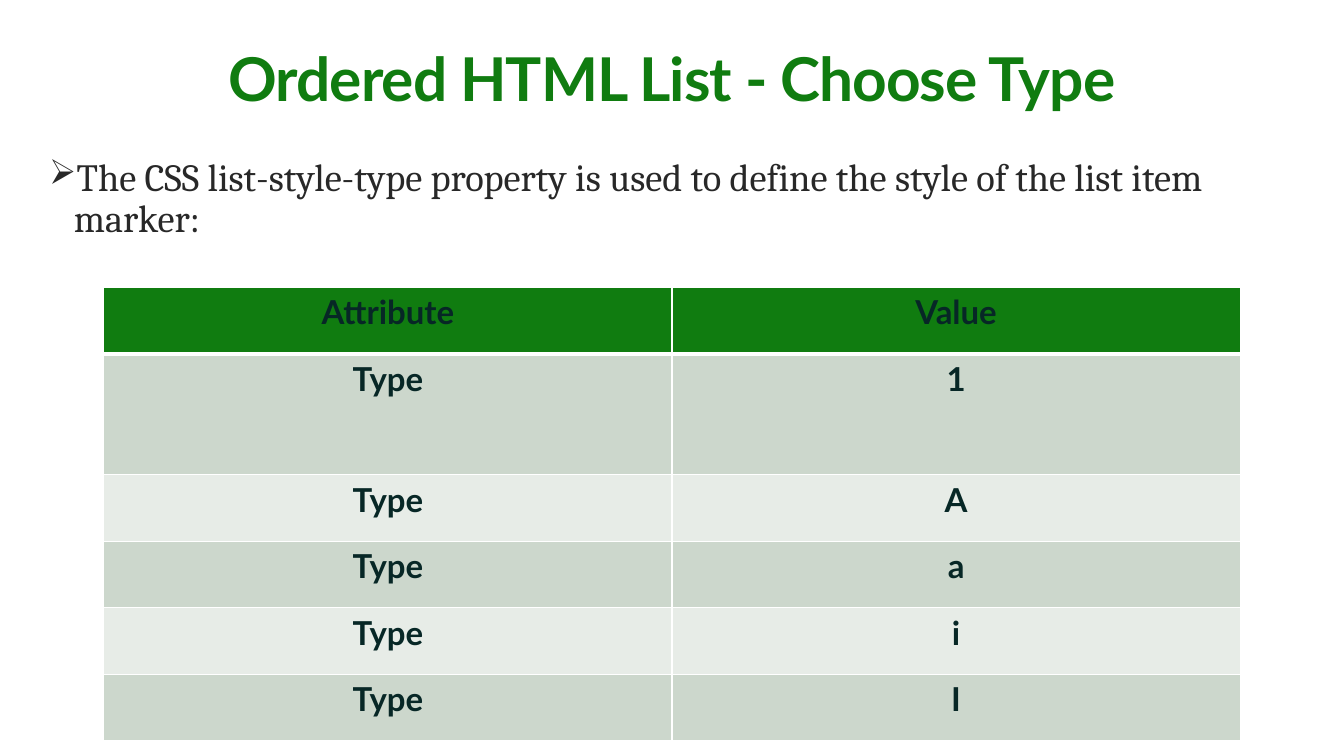
from lxml import etree
from pptx import Presentation
from pptx.dml.color import RGBColor
from pptx.enum.text import MSO_ANCHOR, PP_ALIGN
from pptx.oxml.ns import qn
from pptx.util import Inches, Pt

CENTER = PP_ALIGN.CENTER
LEFT = PP_ALIGN.LEFT
TOP = MSO_ANCHOR.TOP

TITLE = "Ordered HTML List - Choose Type"
INTRO = "The CSS list-style-type property is used to define the style of the list item marker:"
BULLET = "➢"
ROWS = [
    ("Attribute", "Value"),
    ("Type", "1"),
    ("Type", "A"),
    ("Type", "a"),
    ("Type", "i"),
    ("Type", "I"),
]

THEME = {
    "green": "107C10",
    "body": "282828",
    "cell": "072726",
    "bands": ("E7ECE7", "CCD7CC"),
    "border": "FFFFFF",
    "heading_font": "Lato",
    "body_font": "Cambria",
    "title_size": 44,
    "body_size": 28,
    "cell_size": 24,
    "thin": 1,
    "thick": 3,
}

PAGE_SIZE = (13.6, 7.65)
TITLE_BOX = (0.4, 0.4, 12.8, 1)
INTRO_BOX = (0.4, 1.5, 12.4, 1.56)
TABLE_BOX = (1.05, 2.91, 11.5, 4.59)
TALL_ROW = 1
TALL_HEIGHT = 1.22


def style_paragraph(para, font, size, color, bold, align):
    para.alignment = align
    for span in para.runs:
        span.font.name = font
        span.font.size = Pt(size)
        span.font.bold = bold
        span.font.color.rgb = RGBColor.from_string(color)


def add_text(page, area, text, font, size, color, bold, align):
    box = page.shapes.add_textbox(*map(Inches, area))
    frame = box.text_frame
    frame.word_wrap = True
    frame.vertical_anchor = TOP
    frame.margin_left = frame.margin_right = Inches(0.1)
    frame.margin_top = frame.margin_bottom = Inches(0.1)
    frame.text = text
    para = frame.paragraphs[0]
    para.line_spacing = 0.9
    style_paragraph(para, font, size, color, bold, align)
    return para


def add_bullet(para):
    para.space_before = Pt(6)
    props = para._p.get_or_add_pPr()
    props.set("marL", str(Inches(0.25)))
    props.set("indent", str(Inches(-0.25)))
    etree.SubElement(props, qn("a:buSzPct"), val="90000")
    etree.SubElement(props, qn("a:buChar"), char=BULLET)


def add_borders(cell, row_index):
    props = cell._tc.get_or_add_tcPr()
    widths = {
        "a:lnL": THEME["thin"],
        "a:lnR": THEME["thin"],
        "a:lnT": THEME["thick"] if row_index == 1 else THEME["thin"],
        "a:lnB": THEME["thick"] if row_index == 0 else THEME["thin"],
    }
    for tag, width in widths.items():
        line = etree.SubElement(props, qn(tag), w=str(Pt(width)))
        fill = etree.SubElement(line, qn("a:solidFill"))
        etree.SubElement(fill, qn("a:srgbClr"), val=THEME["border"])


def add_type_table(page):
    column_count = len(ROWS[0])
    table = page.shapes.add_table(len(ROWS), column_count, *map(Inches, TABLE_BOX)).table
    for column in table.columns:
        column.width = Inches(TABLE_BOX[2] / column_count)
    row_height = (TABLE_BOX[3] - TALL_HEIGHT) / (len(ROWS) - 1)
    for row_index, values in enumerate(ROWS):
        height = TALL_HEIGHT if row_index == TALL_ROW else row_height
        table.rows[row_index].height = Inches(height)
        color = THEME["bands"][row_index % 2] if row_index else THEME["green"]
        for column_index, value in enumerate(values):
            cell = table.cell(row_index, column_index)
            cell.text = value
            style_paragraph(cell.text_frame.paragraphs[0], THEME["heading_font"],
                            THEME["cell_size"], THEME["cell"], True, CENTER)
            add_borders(cell, row_index)
            cell.fill.solid()
            cell.fill.fore_color.rgb = RGBColor.from_string(color)


def main():
    deck = Presentation()
    deck.slide_width, deck.slide_height = map(Inches, PAGE_SIZE)
    page = deck.slides.add_slide(deck.slide_layouts[6])
    title = add_text(page, TITLE_BOX, TITLE, THEME["heading_font"],
                     THEME["title_size"], THEME["green"], True, CENTER)
    title.runs[0].font._element.set("spc", "-70")
    intro = add_text(page, INTRO_BOX, INTRO, THEME["body_font"],
                     THEME["body_size"], THEME["body"], False, LEFT)
    add_bullet(intro)
    add_type_table(page)
    deck.save("out.pptx")


if __name__ == "__main__":
    main()
